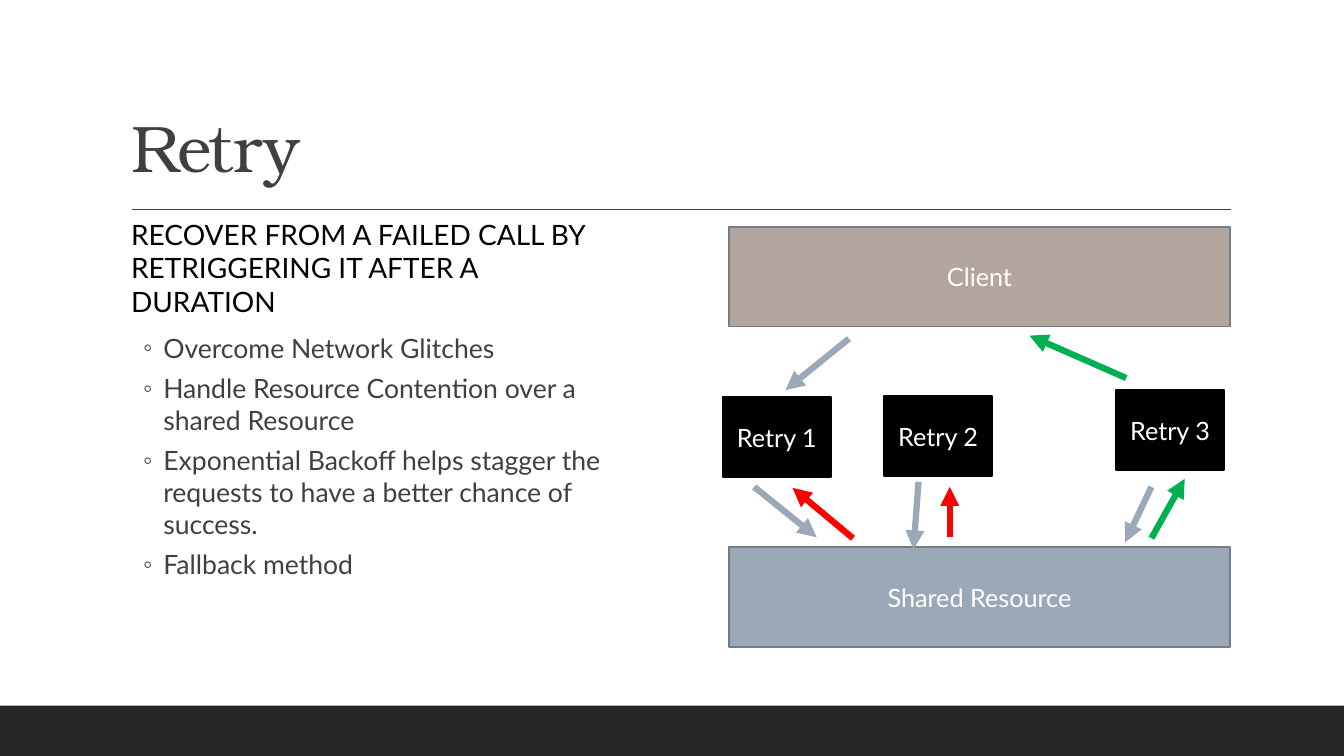
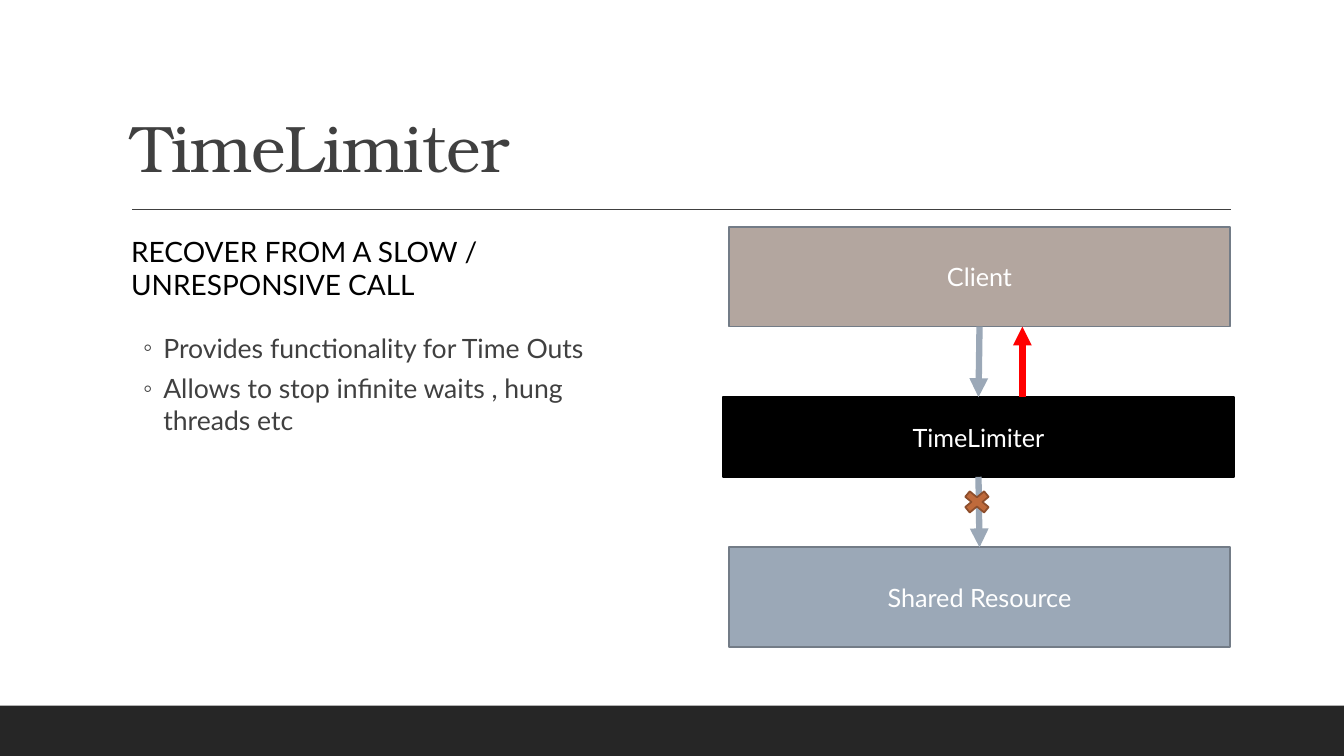
from dataclasses import dataclass

from lxml import etree
from pptx import Presentation
from pptx import util as u
from pptx.dml import color
from pptx.enum import shapes, text
from pptx.oxml import ns


@dataclass(frozen=True)
class Theme:
    """Colours, fonts and type sizes of the deck."""
    ink: str = "404040"
    band: str = "262626"
    black: str = "000000"
    white: str = "FFFFFF"
    client: str = "B3A69F"
    resource: str = "9BA8B7"
    outline: str = "737C87"
    failure: str = "FF0000"
    success: str = "00B050"
    cross: str = "BF6A3B"
    cross_outline: str = "8D4E2C"
    serif: str = "TeX Gyre Bonum"
    sans: str = "Lato"
    title_size: int = 47
    heading_size: int = 20
    list_size: int = 19
    label_size: int = 18
    outline_width: float = 1.25
    arrow_width: float = 4.5


T = Theme()
TITLE_BOX = (1.2, 0.31, 11, 1.59)
HEADING_BOX = (1.2, 2.25, 5.07, 0.81)
LIST_BOX = (1.2, 3.24, 5.07, 3.18)
DIAGRAM_BOX = (7.23, 2.25, 4.97, 4.17)
BAR_H = 0.99
STEP_H = 0.79
STEP_Y = 1.69
STEP_OVERHANG = 0.06


def inches(*values):
    """Convert numbers to lengths."""
    return [u.Inches(v) for v in values]


def rgb(value):
    """Return a colour from its hex code."""
    return color.RGBColor.from_string(value)


def add_run(p, words, size, tint, font=T.sans):
    """Add one formatted run to a paragraph."""
    r = p.add_run()
    r.text = words
    r.font.name = font
    r.font.size = u.Pt(size)
    r.font.bold = False
    r.font.color.rgb = rgb(tint)
    return r


def add_block(slide, box, fill, line=None, label=None, kind=shapes.MSO_SHAPE.RECTANGLE):
    """Add a filled shape, optionally outlined and labelled."""
    sp = slide.shapes.add_shape(kind, *inches(*box))
    sp.shadow.inherit = False
    sp.fill.solid()
    sp.fill.fore_color.rgb = rgb(fill)
    if line:
        sp.line.color.rgb = rgb(line)
        sp.line.width = u.Pt(T.outline_width)
    else:
        sp.line.fill.background()
    if label:
        tf = sp.text_frame
        tf.word_wrap = True
        tf.vertical_anchor = text.MSO_ANCHOR.MIDDLE
        p = tf.paragraphs[0]
        p.alignment = text.PP_ALIGN.CENTER
        add_run(p, label, T.label_size, T.white)
    return sp


def add_line(slide, start, end, tint, width):
    """Add a straight line without a shadow."""
    line = slide.shapes.add_connector(shapes.MSO_CONNECTOR.STRAIGHT, *inches(*start, *end))
    line.line.color.rgb = rgb(tint)
    line.line.width = u.Pt(width)
    etree.SubElement(line.element.spPr, ns.qn("a:effectLst"))
    return line


def add_arrow(slide, start, end, tint):
    """Add a thick arrow pointing at its end."""
    arrow = add_line(slide, start, end, tint, T.arrow_width)
    ln = arrow.element.spPr.find(ns.qn("a:ln"))
    etree.SubElement(ln, ns.qn("a:tailEnd"), type="triangle")
    return arrow


def frame_layout(slide):
    """Put the bottom band and title rule on the slide's layout."""
    band = add_block(slide, (0, 7, 13.33, 0.5), T.band)
    rule = add_line(slide, (1.31, 2.08), (12.21, 2.08), T.ink, 1)
    for number, part in enumerate((band, rule), 20):
        part.element.xpath(".//p:cNvPr")[0].set("id", str(number))
        slide.slide_layout.shapes.element.append(part.element)


def place(holder, box, anchor):
    """Move a placeholder and return its text frame."""
    holder.left, holder.top, holder.width, holder.height = inches(*box)
    tf = holder.text_frame
    tf.word_wrap = True
    tf.auto_size = text.MSO_AUTO_SIZE.NONE
    tf.vertical_anchor = anchor
    return tf


def space(p, before, after, line=1.0):
    """Left-align a paragraph and set its spacing."""
    p.alignment = text.PP_ALIGN.LEFT
    p.space_before, p.space_after = u.Pt(before), u.Pt(after)
    p.line_spacing = line


def fill_title(holder, words, box):
    """Write the slide title."""
    p = place(holder, box, text.MSO_ANCHOR.BOTTOM).paragraphs[0]
    space(p, 0, 0, 0.9)
    r = add_run(p, words, T.title_size, T.ink, T.serif)
    r.font._element.set("spc", "-50")


def fill_heading(holder, words, box):
    """Write the heading above the list."""
    p = place(holder, box, text.MSO_ANCHOR.MIDDLE).paragraphs[0]
    space(p, 12, 2)
    add_run(p, words, T.heading_size, T.black)


def fill_list(holder, items, box):
    """Write the bulleted list."""
    tf = place(holder, box, text.MSO_ANCHOR.TOP)
    tf.margin_left = tf.margin_right = 0
    for i, item in enumerate(items):
        p = tf.add_paragraph() if i else tf.paragraphs[0]
        p.level = 1
        space(p, 2, 4)
        pPr = p._p.get_or_add_pPr()
        pPr.set("marL", str(u.Inches(0.42)))
        pPr.set("indent", str(u.Inches(-0.2)))
        etree.SubElement(pPr, ns.qn("a:buChar"), char="◦")
        add_run(p, item, T.list_size, T.ink)


def add_ends(slide, box):
    """Add the client and resource bars at the top and bottom of the box."""
    x, y, w, h = box
    client = add_block(slide, (x, y, w, BAR_H), T.client, T.outline, "Client")
    resource = add_block(slide, (x, y + h - BAR_H, w, BAR_H), T.resource, T.outline,
                         "Shared Resource")
    return client, resource


def draw_retry(slide, box):
    """Draw three retries between client and resource."""
    x, y = box[:2]
    add_ends(slide, box)
    steps = ((-STEP_OVERHANG, STEP_Y), (1.54, 1.68), (3.84, 1.62))
    for i, (dx, dy) in enumerate(steps, 1):
        add_block(slide, (x + dx, y + dy, 1.07, STEP_H), T.black, T.black, f"Retry {i}")
    arrows = (
        (T.resource, (1.19, 1.11), (0.56, 1.62)),
        (T.resource, (0.25, 2.58), (0.87, 3.08)),
        (T.resource, (1.88, 2.53), (1.83, 3.2)),
        (T.resource, (4.19, 2.58), (3.93, 3.13)),
        (T.failure, (1.23, 3.09), (0.63, 2.59)),
        (T.failure, (2.19, 3.08), (2.19, 2.58)),
        (T.success, (4.19, 3.09), (4.52, 2.5)),
        (T.success, (3.94, 1.5), (2.98, 1.08)),
    )
    for tint, (x1, y1), (x2, y2) in arrows:
        add_arrow(slide, (x + x1, y + y1), (x + x2, y + y2), tint)


def draw_limiter(slide, box):
    """Draw a limiter that cuts the call to the resource."""
    x, y, w, h = box
    client, resource = add_ends(slide, box)
    limiter = add_block(slide, (x - STEP_OVERHANG, y + STEP_Y, 5.07, STEP_H),
                        T.black, T.black, "TimeLimiter")
    for source, target in ((client, limiter), (limiter, resource)):
        arrow = add_arrow(slide, (x, y), (x, y + h), T.resource)
        arrow.begin_connect(source, 2)
        arrow.end_connect(target, 0)
    add_arrow(slide, (x + 2.91, y + STEP_Y), (x + 2.91, y + BAR_H), T.failure)
    add_block(slide, (x + 2.28, y + 2.58, 0.36, 0.3), T.cross, T.cross_outline,
              kind=shapes.MSO_SHAPE.MATH_MULTIPLY)


def add_pattern_slide(prs, title, heading, items, draw):
    """Add a slide with title, heading, list and diagram."""
    slide = prs.slides.add_slide(prs.slide_layouts.get_by_name("Comparison"))
    holders = {ph.placeholder_format.idx: ph for ph in slide.placeholders}
    fill_title(holders[0], title, TITLE_BOX)
    fill_heading(holders[1], heading, HEADING_BOX)
    fill_list(holders[2], items, LIST_BOX)
    for idx in (3, 4):
        slide.shapes.element.remove(holders[idx].element)
    draw(slide, DIAGRAM_BOX)
    return slide


def main():
    """Build and save the deck."""
    prs = Presentation()
    prs.slide_width, prs.slide_height = inches(13.33, 7.5)
    retry = add_pattern_slide(
        prs, "Retry", "RECOVER FROM A FAILED CALL BY RETRIGGERING IT AFTER A DURATION",
        ("Overcome Network Glitches",
         "Handle Resource Contention over a shared Resource",
         "Exponential Backoff helps stagger the requests to have a better chance of success.",
         "Fallback method"),
        draw_retry)
    frame_layout(retry)
    add_pattern_slide(
        prs, "TimeLimiter", "RECOVER FROM A SLOW / UNRESPONSIVE CALL",
        ("Provides functionality for Time Outs",
         "Allows to stop infinite waits , hung threads etc"),
        draw_limiter)
    prs.save("out.pptx")


if __name__ == "__main__":
    main()
